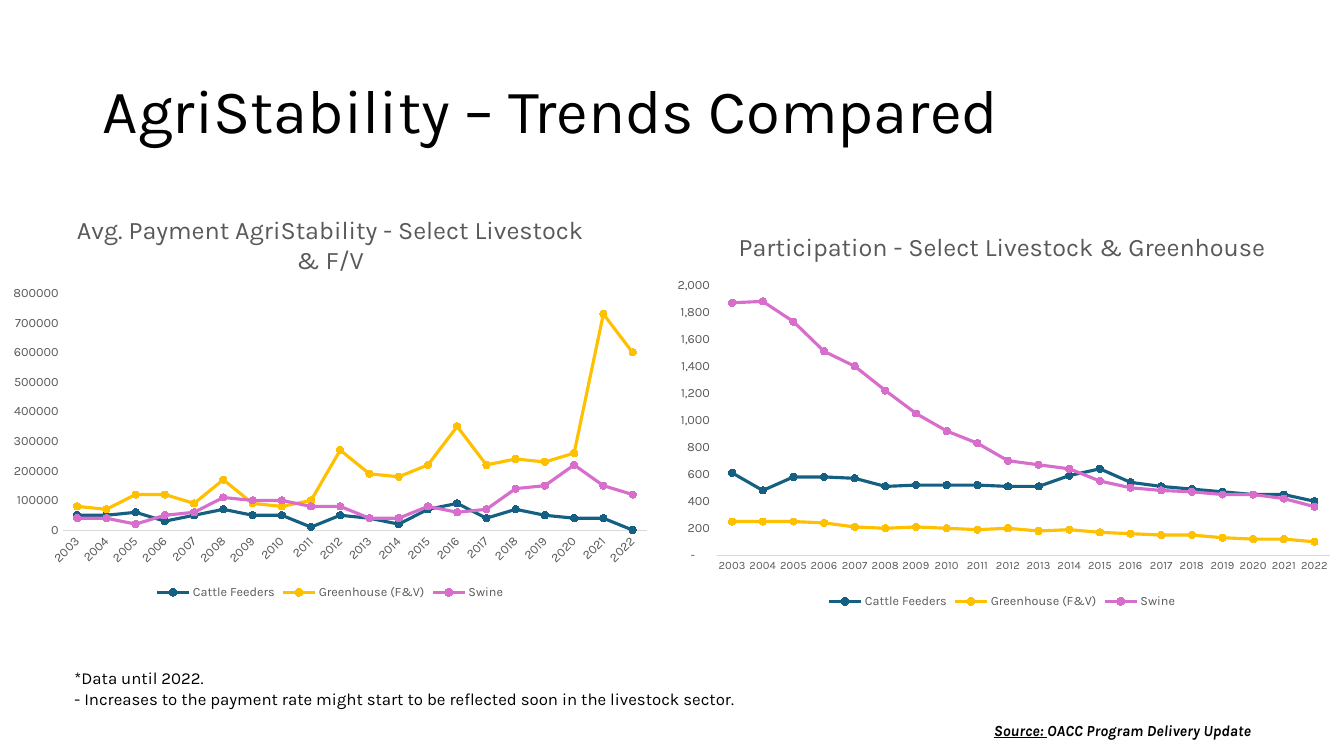
from lxml import etree
from pptx import Presentation
from pptx.chart.data import CategoryChartData
from pptx.dml.color import RGBColor
from pptx.enum.chart import XL_CHART_TYPE, XL_LEGEND_POSITION, XL_MARKER_STYLE, XL_TICK_MARK
from pptx.enum.text import MSO_ANCHOR
from pptx.oxml import parse_xml
from pptx.oxml.ns import nsdecls
from pptx.util import Inches, Pt

FONT = "Karla"
BLACK = RGBColor(0x00, 0x00, 0x00)
GREY = RGBColor(0x59, 0x59, 0x59)
AXIS_GREY = RGBColor(0xD9, 0xD9, 0xD9)
SECTOR_COLOURS = {
    "Cattle Feeders": RGBColor(0x15, 0x60, 0x82),
    "Greenhouse (F&V)": RGBColor(0xFF, 0xC0, 0x00),
    "Swine": RGBColor(0xD8, 0x6E, 0xCC),
}
YEARS = [str(year) for year in range(2003, 2023)]

# Average payments in thousands, participation in farms
PAYMENTS = [
    [50, 50, 60, 30, 50, 70, 50, 50, 10, 50, 40, 20, 70, 90, 40, 70, 50, 40, 40, 0],
    [80, 70, 120, 120, 90, 170, 90, 80, 100, 270,
     190, 180, 220, 350, 220, 240, 230, 260, 730, 600],
    [40, 40, 20, 50, 60, 110, 100, 100, 80, 80,
     40, 40, 80, 60, 70, 140, 150, 220, 150, 120],
]
PARTICIPATION = [
    [610, 480, 580, 580, 570, 510, 520, 520, 520, 510,
     510, 590, 640, 540, 510, 490, 470, 450, 450, 400],
    [250, 250, 250, 240, 210, 200, 210, 200, 190, 200,
     180, 190, 170, 160, 150, 150, 130, 120, 120, 100],
    [1870, 1880, 1730, 1510, 1400, 1220, 1050, 920, 830, 700,
     670, 640, 550, 500, 480, 470, 450, 450, 420, 360],
]

# title, frame, inner plot (both left, top, width, height in inches),
# values, factor, axis maximum, axis step, number format,
# year label rotation and size (level labels need the smaller size to fit)
TRENDS = [
    ("Avg. Payment AgriStability - Select Livestock & F/V",
     (0, 1.94, 6.55, 4.05), (0.62, 2.91, 5.8, 2.35),
     PAYMENTS, 1000, 800000, 100000, "General", -45, 9),
    ("Participation - Select Livestock & Greenhouse",
     (6.55, 2.11, 6.78, 3.97), (7.11, 2.83, 6.08, 2.68),
     PARTICIPATION, 1, 2000, 200,
     '_(* #,##0_);_(* \\(#,##0\\);_(* "-"??_);_(@_)', 0, 8),
]

prs = Presentation()
prs.slide_width = Inches(13.33)
prs.slide_height = Inches(7.5)
slide = prs.slides.add_slide(prs.slide_layouts[6])


def style_font(font, size, colour, bold=False, italic=False, underline=False):
    font.name = FONT
    font.size = Pt(size)
    font.color.rgb = colour
    font.bold = bold
    font.italic = italic
    font.underline = underline


def add_text(paragraphs, left, top, width, height, size, anchor=MSO_ANCHOR.TOP,
             line_spacing=None, bold=False, italic=False):
    """Each paragraph is a list of (text, underlined) runs."""
    box = slide.shapes.add_textbox(Inches(left), Inches(top), Inches(width), Inches(height))
    frame = box.text_frame
    frame.word_wrap = True
    frame.vertical_anchor = anchor
    for index, runs in enumerate(paragraphs):
        paragraph = frame.add_paragraph() if index else frame.paragraphs[0]
        paragraph.line_spacing = line_spacing
        for text, underlined in runs:
            run = paragraph.add_run()
            run.text = text
            style_font(run.font, size, BLACK, bold, italic, underlined)


add_text([[("AgriStability – Trends Compared", False)]], 0.92, 0.4, 11.5, 1.45, 44,
         anchor=MSO_ANCHOR.MIDDLE, line_spacing=0.9)

for (title, frame, plot_area, values, factor, maximum, step,
     number_format, rotation, year_size) in TRENDS:
    trend_data = CategoryChartData(number_format=number_format)
    trend_data.categories = YEARS
    for sector, sector_values in zip(SECTOR_COLOURS, values):
        trend_data.add_series(sector, [value * factor for value in sector_values])
    chart = slide.shapes.add_chart(
        XL_CHART_TYPE.LINE_MARKERS, *[Inches(length) for length in frame], trend_data).chart
    style_font(chart.font, 10, BLACK)

    heading = chart.chart_title.text_frame
    heading.text = title
    style_font(heading.paragraphs[0].runs[0].font, 18, GREY)
    chart.chart_title.include_in_layout = False

    chart.has_legend = True
    chart.legend.position = XL_LEGEND_POSITION.BOTTOM
    chart.legend.include_in_layout = False
    style_font(chart.legend.font, 9, GREY)

    years_axis, amount_axis = chart.category_axis, chart.value_axis
    for axis, label_size in ((years_axis, year_size), (amount_axis, 9)):
        axis.major_tick_mark = XL_TICK_MARK.NONE
        axis.minor_tick_mark = XL_TICK_MARK.NONE
        axis.has_major_gridlines = False
        style_font(axis.tick_labels.font, label_size, GREY)
    years_axis.format.line.color.rgb = AXIS_GREY
    years_axis.format.line.width = Pt(0.75)
    label_body = years_axis._element.txPr.bodyPr
    label_body.set("rot", str(rotation * 60000))
    label_body.set("vert", "horz")
    amount_axis.format.line.fill.background()
    amount_axis.minimum_scale = 0
    amount_axis.maximum_scale = maximum
    amount_axis.major_unit = step
    amount_axis.tick_labels.number_format = number_format
    amount_axis.tick_labels.number_format_is_linked = False

    plot = chart.plots[0]
    plot.vary_by_categories = False
    for series, colour in zip(plot.series, SECTOR_COLOURS.values()):
        series.smooth = False
        series.format.line.color.rgb = colour
        series.format.line.width = Pt(2.25)
        series.marker.style = XL_MARKER_STYLE.CIRCLE
        series.marker.size = 5
        series.marker.format.fill.solid()
        series.marker.format.fill.fore_color.rgb = colour
        series.marker.format.line.color.rgb = colour

    # Fix the inner plot area as fractions of the chart frame
    left, top, width, height = frame
    fractions = {
        "x": (plot_area[0] - left) / width,
        "y": (plot_area[1] - top) / height,
        "w": plot_area[2] / width,
        "h": plot_area[3] / height,
    }
    layout = parse_xml(
        f'<c:layout {nsdecls("c")}><c:manualLayout><c:layoutTarget val="inner"/>'
        '<c:xMode val="edge"/><c:yMode val="edge"/>'
        + "".join(f'<c:{key} val="{value:.4f}"/>' for key, value in fractions.items())
        + "</c:manualLayout></c:layout>")
    plot_element = chart._chartSpace.chart.plotArea
    for automatic in plot_element.findall(etree.QName(layout).text):
        plot_element.remove(automatic)
    plot_element.insert(0, layout)

add_text([[("*Data until 2022.", False)],
          [("- Increases to the payment rate might start to be reflected soon "
            "in the livestock sector.", False)]], 0.64, 6.58, 9.89, 0.5, 12)
add_text([[("Source: ", True), ("OACC Program Delivery Update", False)]],
         9.76, 7.1, 3.5, 0.29, 11, bold=True, italic=True)

prs.save("out.pptx")
